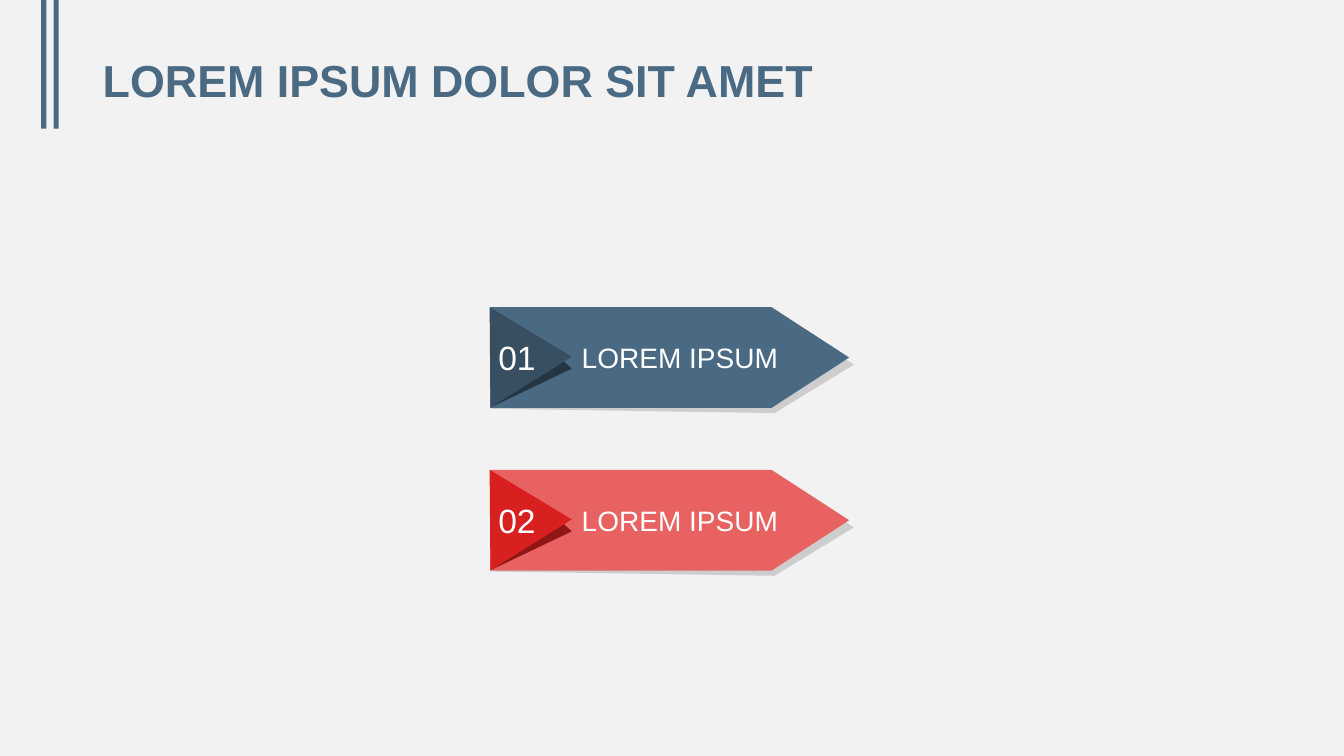
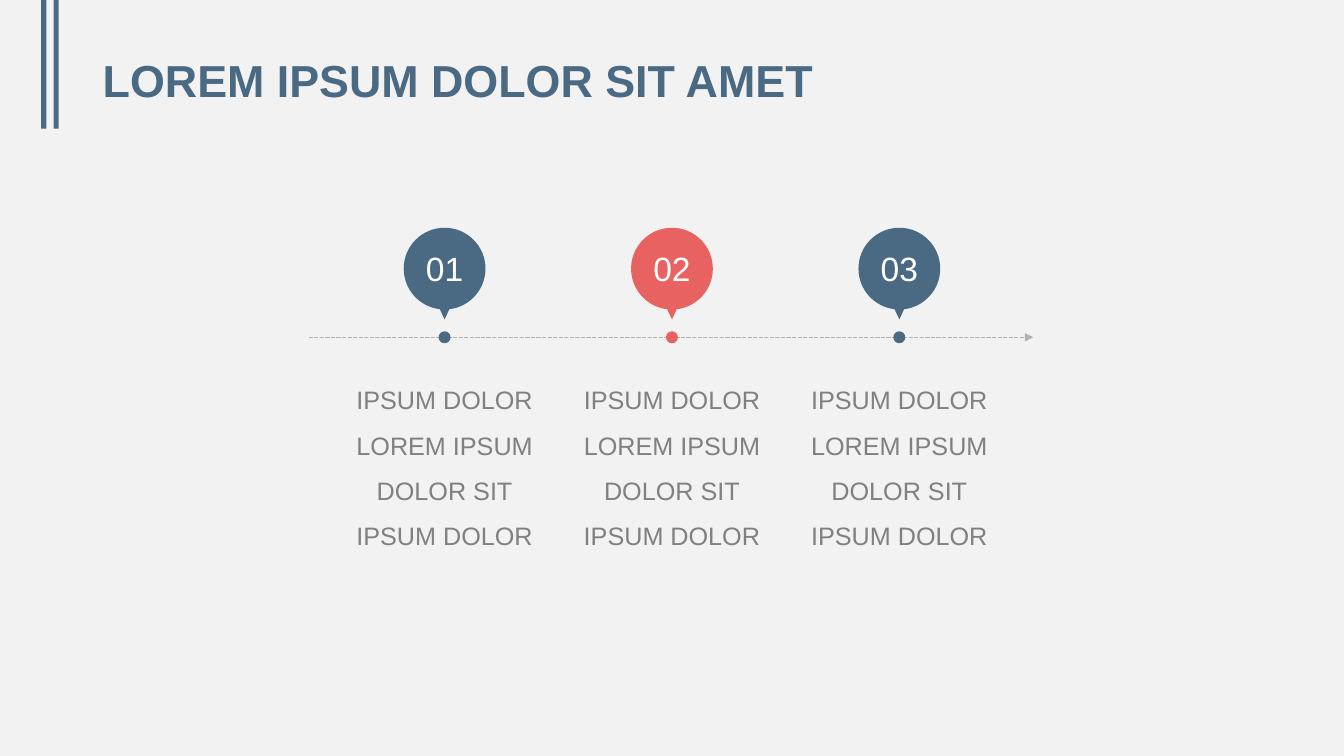
"""Build a two-slide deck: numbered arrow banners and a three-step timeline."""
import math
from dataclasses import dataclass

import lxml.etree
import pptx
import pptx.dml.color
import pptx.enum.dml
import pptx.enum.shapes
import pptx.enum.text
import pptx.oxml.ns
import pptx.presentation
import pptx.shapes.autoshape
import pptx.shapes.shapetree
import pptx.slide
import pptx.text.text
import pptx.util

Cm = pptx.util.Cm
qn = pptx.oxml.ns.qn
Point = tuple[float, float]
Canvas = pptx.shapes.shapetree.SlideShapes | pptx.shapes.shapetree.GroupShapes
Shape = pptx.shapes.autoshape.Shape
TextFrame = pptx.text.text.TextFrame
SHAPE = pptx.enum.shapes.MSO_SHAPE
ALIGN = pptx.enum.text.PP_ALIGN
ANCHOR = pptx.enum.text.MSO_ANCHOR


@dataclass(frozen=True)
class Theme:
    font: str = "Arial"
    background: str = "F2F2F2"
    blue: str = "4A6982"
    blue_flap: str = "384F62"
    blue_fold: str = "253541"
    red: str = "E86262"
    red_flap: str = "D82020"
    red_fold: str = "901515"
    shadow: str = "CDCDCD"
    axis: str = "B2B2B2"
    body: str = "808080"
    white: str = "FFFFFF"
    title_size: int = 32
    number_size: int = 24
    label_size: int = 20
    body_size: int = 18


@dataclass(frozen=True)
class TextStyle:
    size: int
    color: str
    bold: bool = False
    align: ALIGN = ALIGN.LEFT
    spacing: float = 1.0
    anchor: ANCHOR = ANCHOR.MIDDLE
    insets: tuple[float, float, float, float] = (0, 0, 0, 0)


@dataclass(frozen=True)
class Banner:
    number: str
    label: str
    color: str
    flap: str
    fold: str


@dataclass(frozen=True)
class Step:
    number: str
    color: str
    lines: tuple[str, ...]


THEME = Theme()
SLIDE_WIDTH, SLIDE_HEIGHT = 33.87, 19.05
TITLE = "LOREM IPSUM DOLOR SIT AMET"

TITLE_STYLE = TextStyle(THEME.title_size, THEME.blue, bold=True, spacing=0.9,
                        insets=(0.25, 0.13, 0.25, 0.13))
LABEL_STYLE = TextStyle(THEME.label_size, THEME.white, insets=(2.3, 0, 0, 0))
FLAP_STYLE = TextStyle(THEME.number_size, THEME.white, align=ALIGN.CENTER,
                       insets=(0.1, 0, 0.79, 0))
PIN_STYLE = TextStyle(THEME.number_size, THEME.white, align=ALIGN.CENTER,
                      insets=(0, 0, 0, 0.89))
BODY_STYLE = TextStyle(THEME.body_size, THEME.body, align=ALIGN.CENTER,
                       spacing=1.5, anchor=ANCHOR.TOP)

BANNERS = (
    Banner("01", "LOREM IPSUM", THEME.blue, THEME.blue_flap, THEME.blue_fold),
    Banner("02", "LOREM IPSUM", THEME.red, THEME.red_flap, THEME.red_fold),
)
BANNER_LEFT, BANNER_TOP, BANNER_PITCH = 12.36, 7.74, 4.1
BANNER_WIDTH, BANNER_HEIGHT = 9.04, 2.54
SHADOW_OUTLINE = ((0.05, 0.13), (7.14, 0.13), (9.16, 1.45), (7.16, 2.67), (0, 2.56))
FOLD_OUTLINE = ((1.8, 1.32), (2.05, 1.55), (0, 2.53))
FLAP_OUTLINE = ((-0.02, 0), (2.05, 1.25), (0, 2.53))

STEP_LINES = ("IPSUM DOLOR LOREM IPSUM DOLOR SIT", "IPSUM DOLOR")
STEPS = (
    Step("01", THEME.blue, STEP_LINES),
    Step("02", THEME.red, STEP_LINES),
    Step("03", THEME.blue, STEP_LINES),
)
STEP_PITCH = 5.73
AXIS_START, AXIS_END, AXIS_Y = 7.78, 26.04, 8.5
PIN_Y, PIN_RADIUS, PIN_TIP_Y, POINTER_HALF, DOT_RADIUS = 6.77, 1.03, 8.05, 0.12, 0.15
BODY_TOP, BODY_WIDTH, BODY_HEIGHT = 9.31, 5.1, 7.62
CURVES_PER_RING = 4


def rgb(color: str) -> pptx.dml.color.RGBColor:
    return pptx.dml.color.RGBColor.from_string(color)


def paint(shape: Shape, color: str) -> Shape:
    shape.shadow.inherit = False
    shape.fill.solid()
    shape.fill.fore_color.rgb = rgb(color)
    shape.line.fill.background()
    return shape


def write(frame: TextFrame, lines: tuple[str, ...], style: TextStyle) -> None:
    frame.word_wrap = True
    frame.vertical_anchor = style.anchor
    (frame.margin_left, frame.margin_top,
     frame.margin_right, frame.margin_bottom) = map(Cm, style.insets)
    for index, line in enumerate(lines):
        paragraph = frame.add_paragraph() if index else frame.paragraphs[0]
        paragraph.alignment = style.align
        paragraph.line_spacing = style.spacing
        run = paragraph.add_run()
        run.text = line
        run.font.name = THEME.font
        run.font.size = pptx.util.Pt(style.size)
        run.font.bold = style.bold
        run.font.color.rgb = rgb(style.color)


def add_preset(canvas: Canvas, kind: SHAPE, left: float, top: float,
               width: float, height: float, color: str) -> Shape:
    return paint(canvas.add_shape(kind, Cm(left), Cm(top), Cm(width), Cm(height)), color)


def add_text(canvas: Canvas, left: float, top: float, width: float, height: float,
             lines: tuple[str, ...], style: TextStyle) -> None:
    box = canvas.add_textbox(Cm(left), Cm(top), Cm(width), Cm(height))
    write(box.text_frame, lines, style)


def add_outline(canvas: Canvas, contours: list[list[Point]], color: str) -> Shape:
    scaled = [[(Cm(x), Cm(y)) for x, y in contour] for contour in contours]
    builder = canvas.build_freeform(*scaled[0][0], scale=1.0)
    for index, contour in enumerate(scaled):
        if index:
            builder.move_to(*contour[0])
        builder.add_line_segments(contour[1:], close=True)
    return paint(builder.convert_to_shape(), color)


def ring(x: float, y: float, radius: float, gap: float = 0) -> list[Point]:
    def at(angle: float, slide: float = 0) -> Point:
        return (x + radius * (math.sin(angle) + slide * math.cos(angle)),
                y + radius * (math.cos(angle) - slide * math.sin(angle)))

    stops = [gap, math.pi / 2, math.pi, 3 * math.pi / 2, 2 * math.pi - gap]
    points = [at(gap)]
    for start, end in zip(stops, stops[1:]):
        handle = 4 / 3 * math.tan((end - start) / 4)
        points += [at(start, handle), at(end, -handle), at(end)]
    return points


def bend(shape: Shape, curve_count: int) -> None:
    segments = list(shape._element.iter(qn("a:lnTo")))
    for first in range(0, 3 * curve_count, 3):
        curve, *others = segments[first:first + 3]
        curve.tag = qn("a:cubicBezTo")
        for segment in others:
            curve.append(segment[0])
            segment.getparent().remove(segment)


def add_titled_slide(deck: pptx.presentation.Presentation) -> pptx.slide.Slide:
    slide = deck.slides.add_slide(deck.slide_layouts[6])
    for left in (1.04, 1.35):
        add_preset(slide.shapes, SHAPE.RECTANGLE, left, 0, 0.13, 3.24, THEME.blue)
    add_text(slide.shapes, 2.34, 1.09, 29.21, 2.01, (TITLE,), TITLE_STYLE)
    return slide


def add_banner(slide: pptx.slide.Slide, banner: Banner, top: float) -> None:
    canvas = slide.shapes.add_group_shape().shapes

    def place(outline: tuple[Point, ...], color: str) -> Shape:
        return add_outline(canvas, [[(BANNER_LEFT + x, top + y) for x, y in outline]], color)

    place(SHADOW_OUTLINE, THEME.shadow)
    arrow = add_preset(canvas, SHAPE.PENTAGON, BANNER_LEFT, top,
                       BANNER_WIDTH, BANNER_HEIGHT, banner.color)
    arrow.adjustments[0] = 0.77
    write(arrow.text_frame, (banner.label,), LABEL_STYLE)
    place(FOLD_OUTLINE, banner.fold)
    flap = place(FLAP_OUTLINE, banner.flap)
    write(flap.text_frame, (banner.number,), FLAP_STYLE)


def add_axis(slide: pptx.slide.Slide) -> None:
    axis = slide.shapes.add_connector(pptx.enum.shapes.MSO_CONNECTOR.STRAIGHT,
                                      Cm(AXIS_START), Cm(AXIS_Y), Cm(AXIS_END), Cm(AXIS_Y))
    axis.line.color.rgb = rgb(THEME.axis)
    axis.line.width = pptx.util.Pt(1)
    axis.line.dash_style = pptx.enum.dml.MSO_LINE.SQUARE_DOT
    properties = axis._element.spPr
    lxml.etree.SubElement(properties.find(qn("a:ln")), qn("a:tailEnd"), type="triangle")
    lxml.etree.SubElement(properties, qn("a:effectLst"))


def add_step(slide: pptx.slide.Slide, step: Step, x: float) -> None:
    dot = ring(x, AXIS_Y, DOT_RADIUS)
    bubble = ring(x, PIN_Y, PIN_RADIUS, gap=math.asin(POINTER_HALF / PIN_RADIUS))
    pin = add_outline(slide.shapes, [dot, bubble + [(x, PIN_TIP_Y)]], step.color)
    bend(pin, 2 * CURVES_PER_RING)
    write(pin.text_frame, (step.number,), PIN_STYLE)
    add_text(slide.shapes, x - BODY_WIDTH / 2, BODY_TOP, BODY_WIDTH, BODY_HEIGHT,
             step.lines, BODY_STYLE)


def main() -> None:
    deck = pptx.Presentation()
    deck.slide_width, deck.slide_height = Cm(SLIDE_WIDTH), Cm(SLIDE_HEIGHT)
    backdrop = deck.slide_master.background.fill
    backdrop.solid()
    backdrop.fore_color.rgb = rgb(THEME.background)

    banners = add_titled_slide(deck)
    for index, banner in enumerate(BANNERS):
        add_banner(banners, banner, BANNER_TOP + index * BANNER_PITCH)

    timeline = add_titled_slide(deck)
    add_axis(timeline)
    for index, step in enumerate(STEPS):
        offset = index - (len(STEPS) - 1) / 2
        add_step(timeline, step, SLIDE_WIDTH / 2 + offset * STEP_PITCH)

    deck.save("out.pptx")


if __name__ == "__main__":
    main()
